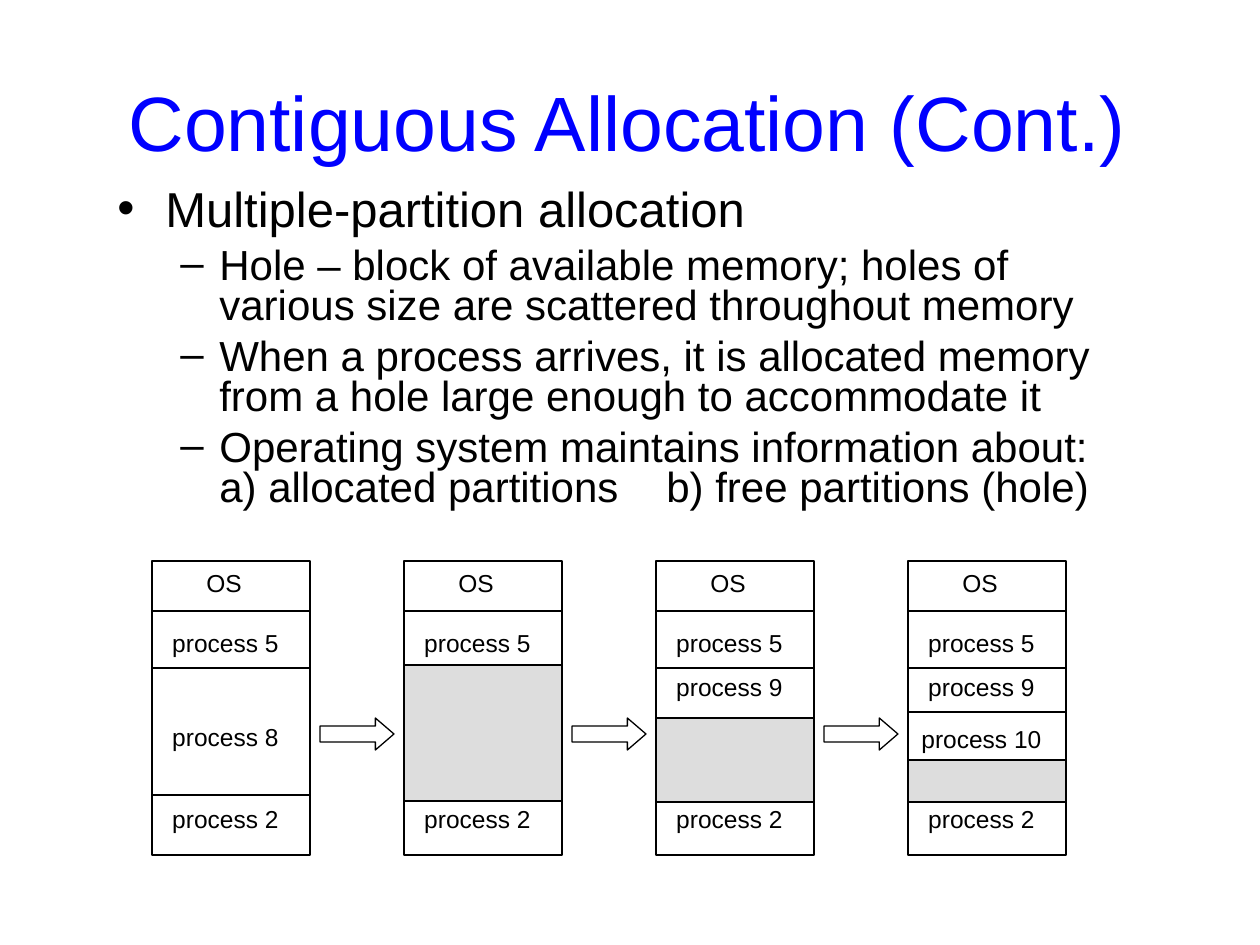
from lxml import etree
from pptx import Presentation
from pptx import util as u
from pptx.dml.color import RGBColor
from pptx.enum import shapes, text
from pptx.oxml.ns import qn

PX = u.Inches(1) // 126
TITLE = "Contiguous Allocation (Cont.)"
BODY = [
    (0, "Multiple-partition allocation"),
    (1, "Hole – block of available memory; holes of various size are scattered throughout memory"),
    (1, "When a process arrives, it is allocated memory from a hole large enough to accommodate it"),
    (1, "Operating system maintains information about:\va) allocated partitions\tb) free partitions (hole)"),
]
LEVELS = [
    dict(size=28, mark="•", left=48, hang=48, gap=7),
    dict(size=24, mark="–", left=102, hang=39, gap=6),
]
TAB = 549

LEFT, TOP, STEP, WIDE, HIGH = 152, 561, 252, 158, 294
RULES = [611, 668, 795]
SHARED = [("process 5", 621), ("process 2", 797)]
STAGES = [
    dict(names=[("process 8", 715)], hole=None, rules=[]),
    dict(names=[], hole=(665, 136), rules=[]),
    dict(names=[("process 9", 665)], hole=(718, 84), rules=[]),
    dict(names=[("process 9", 665), ("process 10", 717)], hole=(760, 42), rules=[712]),
]


def color(code):
    return RGBColor.from_string(code)


def place(*spots):
    return [u.Emu(v * PX) for v in spots]


def style(para, size, code="000000"):
    for run in para.runs:
        run.font.name = "Arial"
        run.font.size = u.Pt(size)
        run.font.color.rgb = color(code)


def block(slide, kind, spot, fill):
    shape = slide.shapes.add_shape(kind, *place(*spot))
    shape.shadow.inherit = False
    shape.fill.solid()
    shape.fill.fore_color.rgb = color(fill)
    shape.line.color.rgb = color("000000")
    shape.line.width = u.Pt(0.75)
    return shape


def rule(slide, x, y):
    line = slide.shapes.add_connector(
        shapes.MSO_CONNECTOR.STRAIGHT, *place(x, y, x + WIDE, y))
    line.line.color.rgb = color("000000")
    line.line.width = u.Pt(0.75)
    etree.SubElement(line._element.spPr, qn("a:effectLst"))


def label(slide, name, x, y, wide=147):
    frame = slide.shapes.add_textbox(*place(x, y, wide, 43)).text_frame
    frame.word_wrap = True
    frame.vertical_anchor = text.MSO_ANCHOR.MIDDLE
    frame.text = name
    para = frame.paragraphs[0]
    para.alignment = text.PP_ALIGN.CENTER
    style(para, 14)


def head(slide):
    title = slide.shapes.title
    title.left, title.top, title.width, title.height = place(92, 42, 1071, 157)
    frame = title.text_frame
    frame.text = TITLE
    frame.vertical_anchor = text.MSO_ANCHOR.MIDDLE
    frame.paragraphs[0].alignment = text.PP_ALIGN.CENTER
    style(frame.paragraphs[0], 44, "0000FF")


def bullet(para, mark, left, hang):
    props = para._p.get_or_add_pPr()
    props.set("marL", str(left * PX))
    props.set("indent", str(-hang * PX))
    tint = etree.SubElement(props, qn("a:buClr"))
    etree.SubElement(tint, qn("a:srgbClr"), val="000000")
    etree.SubElement(props, qn("a:buFont"), typeface="Arial")
    etree.SubElement(props, qn("a:buChar"), char=mark)
    if "\t" in para.text:
        tabs = etree.SubElement(props, qn("a:tabLst"))
        etree.SubElement(tabs, qn("a:tab"), pos=str(TAB * PX), algn="l")


def points(slide):
    frame = slide.shapes.add_textbox(*place(105, 184, 1013, 359)).text_frame
    frame.word_wrap = True
    for i, (rank, words) in enumerate(BODY):
        para = frame.add_paragraph() if i else frame.paragraphs[0]
        look = LEVELS[rank]
        para.text = words
        para.level = rank
        bullet(para, look["mark"], look["left"], look["hang"])
        para.line_spacing = 0.8
        if i:
            para.space_before = u.Pt(look["gap"])
        style(para, look["size"])


def column(slide, x, stage):
    block(slide, shapes.MSO_SHAPE.RECTANGLE, (x, TOP, WIDE, HIGH), "FFFFFF")
    for y in RULES + stage["rules"]:
        rule(slide, x, y)
    if stage["hole"]:
        y, high = stage["hole"]
        block(slide, shapes.MSO_SHAPE.RECTANGLE, (x, y, WIDE, high), "DDDDDD")
    label(slide, "OS", x + 32, TOP, 80)
    for name, y in SHARED + stage["names"]:
        label(slide, name, x, y)


def main():
    deck = Presentation()
    deck.slide_width, deck.slide_height = u.Inches(10), u.Inches(7.5)
    slide = deck.slides.add_slide(deck.slide_layouts[5])
    head(slide)
    points(slide)
    for i, stage in enumerate(STAGES):
        x = LEFT + i * STEP
        column(slide, x, stage)
        if i:
            arrow = block(slide, shapes.MSO_SHAPE.RIGHT_ARROW,
                          (x - 84, 718, 74, 32), "FFFFFF")
            arrow.adjustments[1] = 0.58
    deck.save("out.pptx")


if __name__ == "__main__":
    main()
